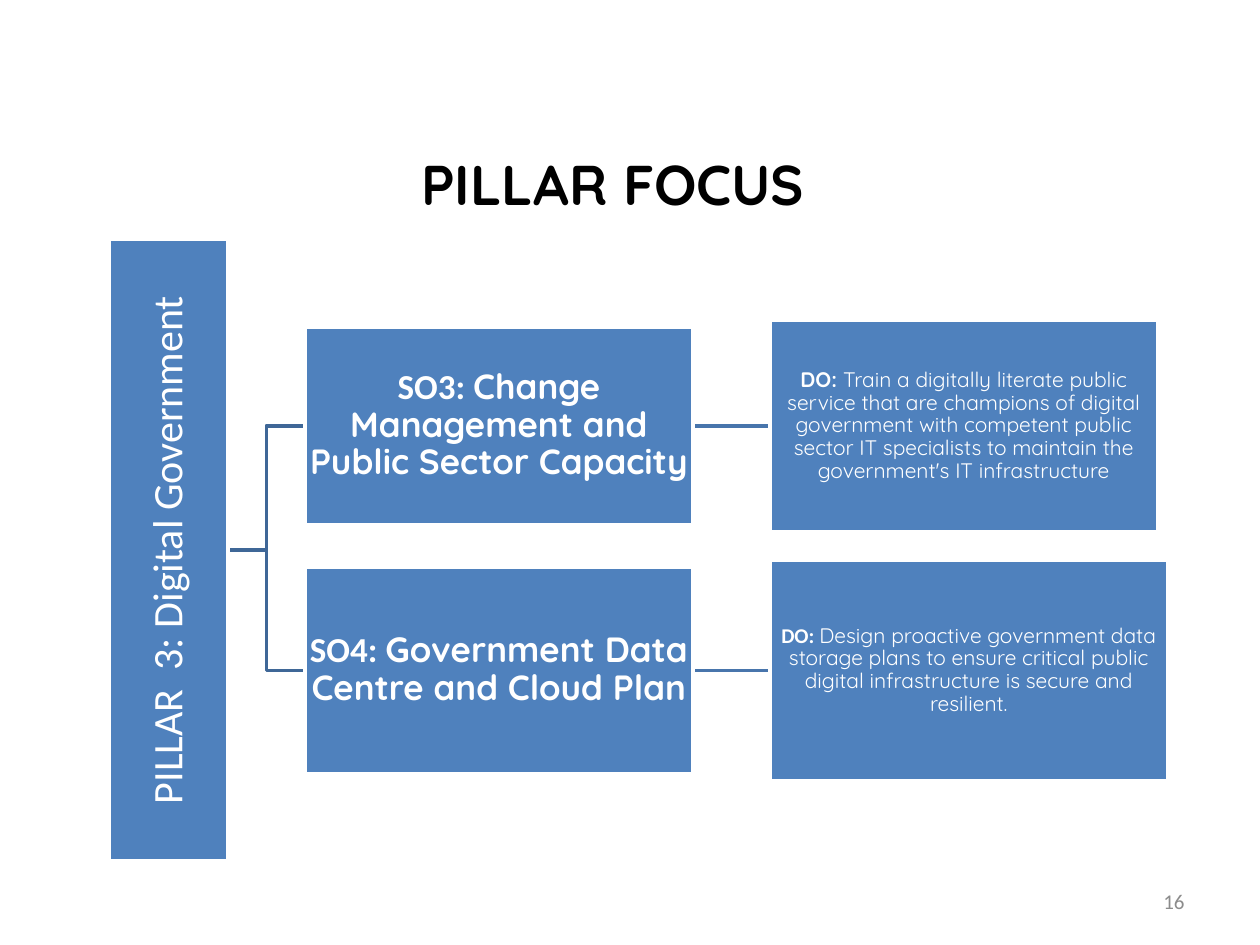
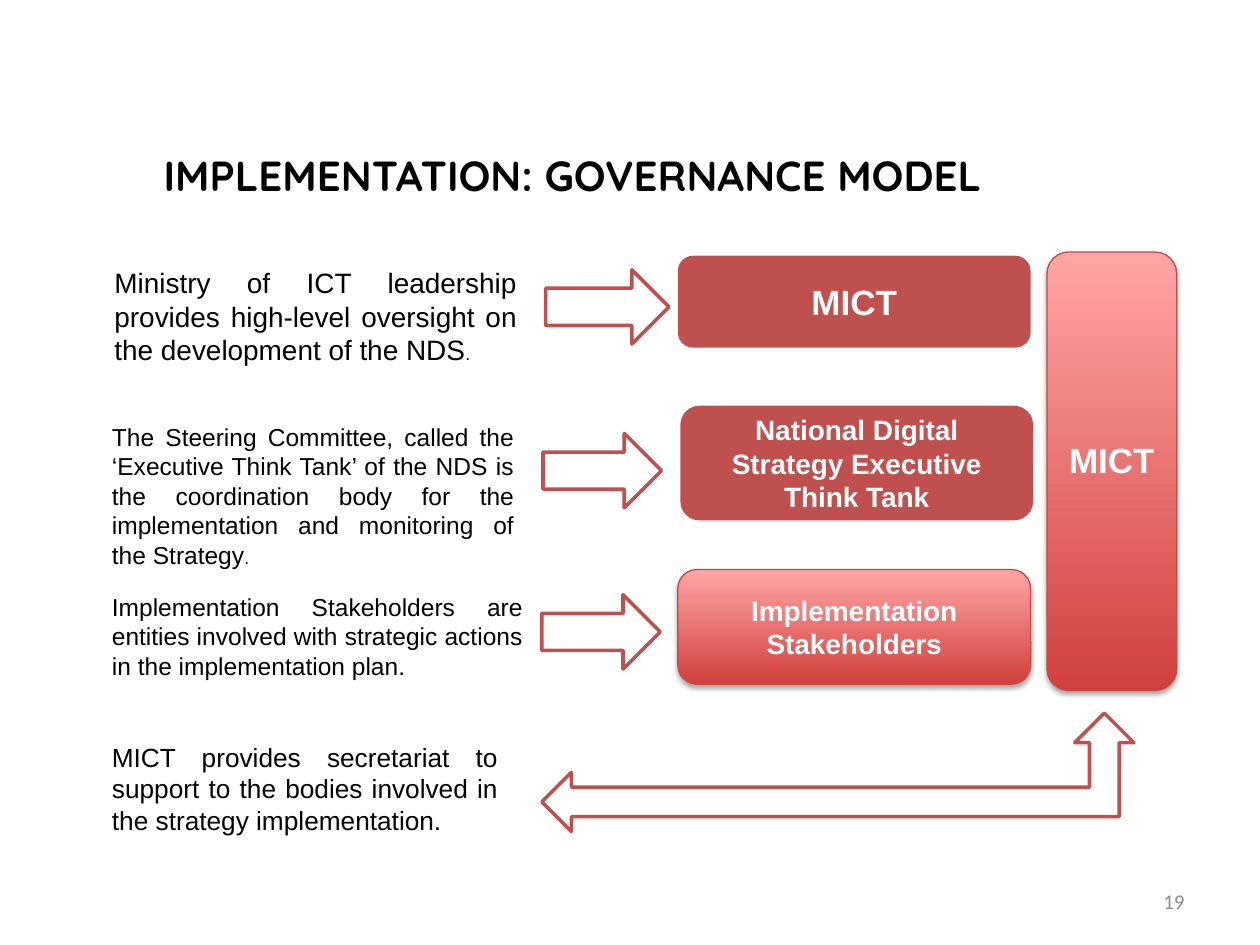
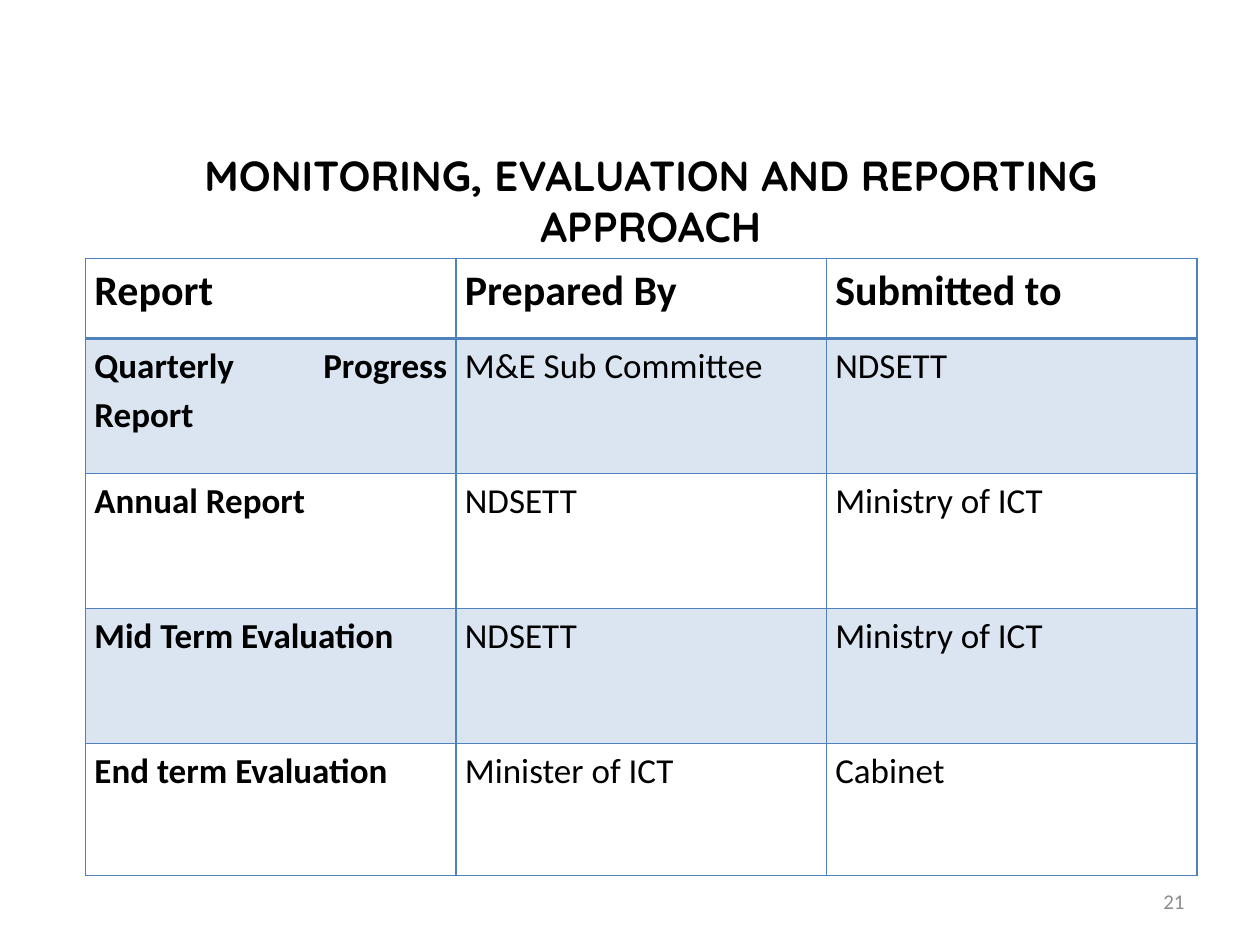
from lxml import etree
from pptx import Presentation
from pptx.dml.color import RGBColor
from pptx.enum.shapes import MSO_CONNECTOR, MSO_SHAPE
from pptx.enum.text import MSO_ANCHOR, PP_ALIGN
from pptx.oxml.ns import qn
from pptx.util import Inches, Pt

LEFT, CENTER, RIGHT, JUSTIFY = PP_ALIGN.LEFT, PP_ALIGN.CENTER, PP_ALIGN.RIGHT, PP_ALIGN.JUSTIFY
TOP, MIDDLE = MSO_ANCHOR.TOP, MSO_ANCHOR.MIDDLE
RECT, ROUNDED = MSO_SHAPE.RECTANGLE, MSO_SHAPE.ROUNDED_RECTANGLE
RIGHT_ARROW, LEFT_UP_ARROW = MSO_SHAPE.RIGHT_ARROW, MSO_SHAPE.LEFT_UP_ARROW
STRAIGHT, ELBOW = MSO_CONNECTOR.STRAIGHT, MSO_CONNECTOR.ELBOW

COLORS = {
    "black": "000000",
    "white": "FFFFFF",
    "number": "8C8C8C",
    "blue": "4F81BD",
    "branch": "3F6797",
    "link": "4875AC",
    "red": "C0504D",
    "red_edge": "BF4C48",
    "red_dark": "D1403C",
    "red_light": "FFA6A5",
}
BODY, HEADING, PLAIN = "Calibri", "Quicksand", "Arial"
TITLE_TOP = 1.14
NUMBER_BOX = (7.17, 6.95, 2.33, 0.4)
DEFAULT_INSETS = (0.1, 0.05, 0.1, 0.05)


def color(name):
    return RGBColor.from_string(COLORS[name])


def within(area, box):
    return (area[0] + box[0], area[1] + box[1], box[2], box[3])


def write(frame, spans, ink, align=LEFT, anchor=TOP, insets=DEFAULT_INSETS, spacing=None):
    frame.word_wrap = True
    frame.vertical_anchor = anchor
    frame.margin_left, frame.margin_top, frame.margin_right, frame.margin_bottom = map(Inches, insets)
    para = frame.paragraphs[0]
    para.alignment = align
    if spacing:
        para.line_spacing = spacing
    for text, size, font, bold in spans:
        span = para.add_run()
        span.text = text
        span.font.size = Pt(size)
        span.font.name = font
        span.font.bold = bold
        span.font.color.rgb = color(ink)


def add_text(page, box, spans, ink="black", **style):
    frame = page.shapes.add_textbox(*map(Inches, box)).text_frame
    write(frame, spans, ink, **style)


def add_block(page, kind, box, fill, line=None, width=2):
    block = page.shapes.add_shape(kind, *map(Inches, box))
    block.shadow.inherit = False
    block.fill.solid()
    block.fill.fore_color.rgb = color(fill)
    if line:
        block.line.color.rgb = color(line)
        block.line.width = Pt(width)
    else:
        block.line.fill.background()
    return block


def add_line(page, kind, start, end, ink):
    line = page.shapes.add_connector(kind, *map(Inches, start + end))
    line.line.color.rgb = color(ink)
    line.line.width = Pt(2)
    etree.SubElement(line._element.spPr, qn("a:effectLst"))


def add_raised_block(page, box):
    block = add_block(page, ROUNDED, box, "red_dark", "red_edge", 0.75)
    block.fill.gradient()
    block.fill.gradient_angle = 90
    for stop, name in zip(block.fill.gradient_stops, ("red_dark", "red_light")):
        stop.color.rgb = color(name)
    effects = block._element.spPr.find(qn("a:effectLst"))
    shadow = etree.SubElement(effects, qn("a:outerShdw"), blurRad=str(Pt(3.1)),
                              dist=str(Pt(1.8)), dir="5400000", rotWithShape="0")
    tint = etree.SubElement(shadow, qn("a:srgbClr"), val=COLORS["black"])
    etree.SubElement(tint, qn("a:alpha"), val="35000")
    return block


def add_page(deck, number, title, left, width, height, size, align=CENTER):
    page = deck.slides.add_slide(deck.slide_layouts[6])
    add_text(page, NUMBER_BOX, [(number, 12, BODY, False)], "number", align=RIGHT, anchor=MIDDLE)
    add_text(page, (left, TITLE_TOP, width, height), [(title, size, HEADING, True)], align=align)
    return page


def pillar_tree(page, area, pillar, branches):
    left, top, _, height = area
    bar_width, goal_x, goal_width, outcome_x = 0.94, 1.55, 3.08, 5.24
    middle = top + height / 2

    def tree_box(box, spans, inset):
        block = add_block(page, RECT, box, "blue", "white")
        write(block.text_frame, spans, "white", CENTER, MIDDLE, (inset,) * 4, 0.9)
        return block

    for center, *_ in branches:
        y = top + center
        add_line(page, ELBOW, (left + bar_width, middle), (left + goal_x, y), "branch")
        add_line(page, STRAIGHT, (left + goal_x + goal_width, y), (left + outcome_x, y), "link")

    bar_left = left + (bar_width - height) / 2
    bar = tree_box((bar_left, middle - bar_width / 2, height, bar_width),
                   [(pillar, 24, BODY, False)], 0.02)
    bar.rotation = 270

    for center, goal_height, goal, outcome_width, outcome_height, outcome in branches:
        tree_box(within(area, (goal_x, center - goal_height / 2, goal_width, goal_height)), goal, 0.01)
        tree_box(within(area, (outcome_x, center - outcome_height / 2, outcome_width, outcome_height)),
                 outcome, 0.01)


def governance_model(page, area, roles, secretariat):
    for note_box, note, arrow_box, body_box, body, size, raised in roles:
        add_text(page, within(area, note_box), note, align=JUSTIFY)
        add_block(page, RIGHT_ARROW, within(area, arrow_box), "white", "red")
        place = within(area, body_box)
        block = add_raised_block(page, place) if raised else add_block(page, ROUNDED, place, "red")
        write(block.text_frame, [(body, size, PLAIN, True)], "white", CENTER, MIDDLE)

    tower = add_raised_block(page, within(area, (7.52, 0, 1.03, 3.48)))
    write(tower.text_frame, [("MICT", 20, PLAIN, True)], "white", CENTER, MIDDLE, (0.1, 0.05, 0.1, 0.24))
    add_block(page, LEFT_UP_ARROW, within(area, (3.51, 3.66, 4.7, 0.94)), "white", "red")
    add_text(page, within(area, (0, 3.83, 3.26, 1.12)), [(secretariat, 15, PLAIN, False)], align=JUSTIFY)


def set_borders(cell, widths):
    properties = cell._tc.get_or_add_tcPr()
    for side, width in zip("LRTB", widths):
        edge = etree.SubElement(properties, qn(f"a:ln{side}"), w=str(Pt(width)))
        fill = etree.SubElement(edge, qn("a:solidFill"))
        etree.SubElement(fill, qn("a:srgbClr"), val=COLORS["blue"])


def report_table(page, area, heights, rows):
    table = page.shapes.add_table(len(rows), len(rows[0]), *map(Inches, area)).table
    table.first_row = table.horz_banding = False
    for column in table.columns:
        column.width = Inches(area[2] / len(rows[0]))
    for r, (height, texts) in enumerate(zip(heights, rows)):
        table.rows[r].height = Inches(height)
        for c, text in enumerate(texts):
            cell = table.cell(r, c)
            write(cell.text_frame, [(text, 20 if r else 24, BODY, r == 0 or c == 0)],
                  "black", JUSTIFY, spacing=1.15)
            cell.margin_left = cell.margin_right = Inches(0.07)
            cell.margin_top = cell.margin_bottom = 0
            cell.vertical_anchor = TOP
            set_borders(cell, (1, 1, 2 if r == 1 else 1, 1 if r else 2))
            if r % 2:
                cell.fill.solid()
                cell.fill.fore_color.rgb = color("blue")
                tint = cell._tc.tcPr.find(qn("a:solidFill")).find(qn("a:srgbClr"))
                etree.SubElement(tint, qn("a:alpha"), val="20000")
            else:
                cell.fill.background()


def main():
    deck = Presentation()
    deck.slide_width, deck.slide_height = Inches(10), Inches(7.5)

    page = add_page(deck, "16", "PILLAR FOCUS", 1.2, 7.33, 0.64, 32)
    pillar_tree(page, (0.87, 1.9, 8.4, 4.93), "PILLAR  3: Digital Government", [
        (1.48, 1.57,
         [("SO3: ", 20, BODY, True),
          ("Change Management and Public Sector Capacity", 20, HEADING, True)],
         3.08, 1.68,
         [("DO: ", 12, HEADING, True),
          ("Train a digitally literate public service that are champions of digital government "
           "with competent public sector IT specialists to maintain the government's IT "
           "infrastructure", 12, HEADING, False)]),
        (3.42, 1.64,
         [("SO4: ", 20, BODY, True),
          ("Government Data Centre and Cloud Plan", 20, HEADING, True)],
         3.16, 1.75,
         [("DO: ", 12, BODY, True),
          ("Design proactive government data storage plans to ensure critical public digital "
           "infrastructure is secure and resilient.", 12, HEADING, False)]),
    ])

    page = add_page(deck, "19", "IMPLEMENTATION: GOVERNANCE MODEL", 1.2, 7.39, 1.04, 24, LEFT)
    full_stop = (".", 10, PLAIN, False)
    governance_model(page, (0.79, 2, 8.55, 4.95), [
        ((0.02, 0.06, 3.39, 0.95),
         [("Ministry of ICT leadership provides high-level oversight on the development of the NDS",
           16, PLAIN, False), full_stop],
         (3.54, 0.14, 0.98, 0.59), (4.59, 0.03, 2.8, 0.73), "MICT", 20, False),
        ((0, 1.3, 3.39, 1.45),
         [("The Steering Committee, called the ‘Executive Think Tank’ of the NDS is the coordination "
           "body for the implementation and monitoring of the Strategy", 14, PLAIN, False), full_stop],
         (3.52, 1.44, 0.94, 0.59), (4.61, 1.22, 2.8, 0.91),
         "National Digital Strategy Executive Think Tank", 16, False),
        ((0, 2.65, 3.46, 1.24),
         [("Implementation Stakeholders are entities involved with strategic actions in the "
           "implementation plan.", 14, PLAIN, False)],
         (3.51, 2.72, 0.94, 0.59), (4.59, 2.52, 2.8, 0.91), "Implementation Stakeholders", 16, True),
    ], "MICT provides secretariat to support to the bodies involved in the strategy implementation.")

    page = add_page(deck, "21", "MONITORING, EVALUATION AND REPORTING APPROACH", 0.83, 8.67, 0.91, 24)
    report_table(page, (0.68, 2.05, 8.82, 4.9), (0.64, 1.07, 1.07, 1.07, 1.05), [
        ("Report", "Prepared By", "Submitted to"),
        ("Quarterly Progress Report", "M&E Sub Committee", "NDSETT"),
        ("Annual Report", "NDSETT", "Ministry of ICT"),
        ("Mid Term Evaluation", "NDSETT", "Ministry of ICT"),
        ("End term Evaluation", "Minister of ICT", "Cabinet"),
    ])
    deck.save("out.pptx")


if __name__ == "__main__":
    main()
